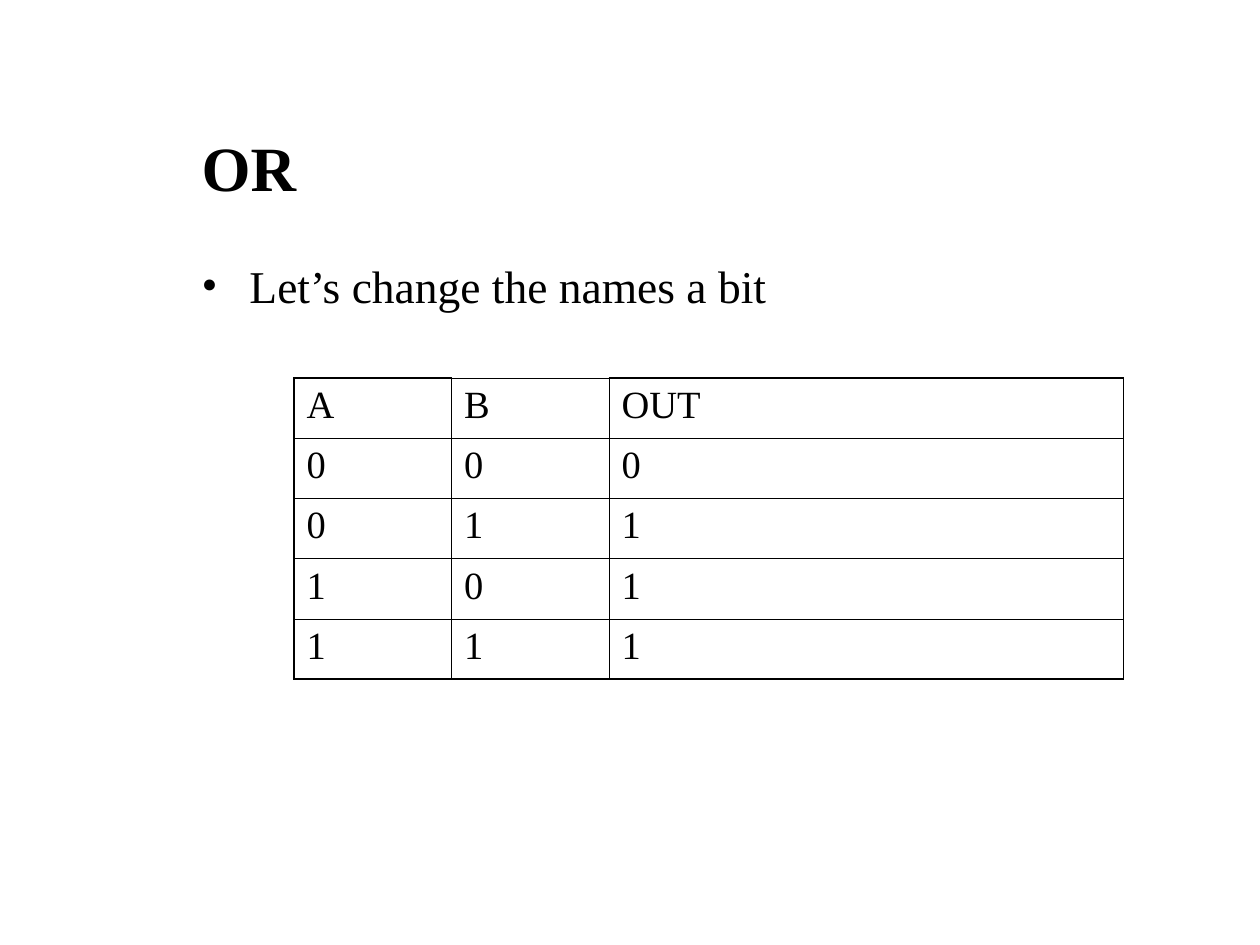
"""Build a slide with the truth table of the OR gate."""
from dataclasses import dataclass

from lxml import etree
from pptx import Presentation
from pptx.dml.color import RGBColor
from pptx.enum.text import MSO_ANCHOR, MSO_AUTO_SIZE, PP_ALIGN
from pptx.oxml.ns import qn
from pptx.util import Inches, Pt

LEFT = PP_ALIGN.LEFT
TOP, MIDDLE = MSO_ANCHOR.TOP, MSO_ANCHOR.MIDDLE
NO_AUTOFIT = MSO_AUTO_SIZE.NONE

FONT = "Times New Roman"
INK = "000000"
WIDTH, HEIGHT = Inches(10), Inches(7.5)
GRID_COLUMNS, GRID_ROWS = 120, 90
THIN, THICK = Pt(0.45), Pt(1.08)

TRUTH_TABLE = [("A", "B", "OUT")] + [
    (str(a), str(b), str(a | b)) for a in (0, 1) for b in (0, 1)
]
COLUMN_SPANS = (15, 15, 49)
ROW_SPAN = 5.74


@dataclass(frozen=True)
class Area:
    column: float
    row: float
    columns: float
    rows: float


@dataclass(frozen=True)
class TextStyle:
    size: float
    bold: bool = False
    anchor: MSO_ANCHOR = TOP


TITLE_AREA = Area(18, 10, 96, 11.64)
BODY_AREA = Area(18, 24, 96, 49)
TABLE_AREA = Area(28, 36, sum(COLUMN_SPANS), ROW_SPAN * len(TRUTH_TABLE))
TITLE_STYLE = TextStyle(36, True, MIDDLE)
BODY_STYLE = TextStyle(26)
CELL_STYLE = TextStyle(22)


def across(columns: float) -> int:
    return round(WIDTH * columns / GRID_COLUMNS)


def down(rows: float) -> int:
    return round(HEIGHT * rows / GRID_ROWS)


def bounds(area: Area) -> tuple[int, int, int, int]:
    return across(area.column), down(area.row), across(area.columns), down(area.rows)


def rgb(value: str) -> RGBColor:
    return RGBColor.from_string(value)


def write(frame, text: str, style: TextStyle) -> None:
    frame.text = text
    paragraph = frame.paragraphs[0]
    paragraph.alignment = LEFT
    paragraph.space_before = Pt(0)
    for run in paragraph.runs:
        run.font.name = FONT
        run.font.size = Pt(style.size)
        run.font.bold = style.bold
        run.font.color.rgb = rgb(INK)


def fill_placeholder(placeholder, area: Area, text: str, style: TextStyle) -> None:
    placeholder.left, placeholder.top, placeholder.width, placeholder.height = bounds(area)
    frame = placeholder.text_frame
    write(frame, text, style)
    frame.word_wrap = True
    frame.auto_size = NO_AUTOFIT
    frame.vertical_anchor = style.anchor


def add_bullet(paragraph) -> None:
    properties = paragraph._p.get_or_add_pPr()
    properties.set("marL", str(Inches(0.38)))
    properties.set("indent", str(Inches(-0.38)))
    colour = etree.SubElement(properties, qn("a:buClr"))
    etree.SubElement(colour, qn("a:srgbClr"), val=INK)
    etree.SubElement(properties, qn("a:buFont"), typeface=FONT)
    etree.SubElement(properties, qn("a:buChar"), char="•")


def draw_borders(cell, widths: dict[str, int]) -> None:
    properties = cell._tc.get_or_add_tcPr()
    for position, (side, width) in enumerate(widths.items()):
        line = etree.Element(qn(f"a:{side}"), w=str(width))
        fill = etree.SubElement(line, qn("a:solidFill"))
        etree.SubElement(fill, qn("a:srgbClr"), val=INK)
        properties.insert(position, line)


def add_truth_table(slide) -> None:
    row_count, column_count = len(TRUTH_TABLE), len(COLUMN_SPANS)
    table = slide.shapes.add_table(row_count, column_count, *bounds(TABLE_AREA)).table
    table.first_row = table.horz_banding = False
    for column, span in zip(table.columns, COLUMN_SPANS):
        column.width = across(span)
    for r, values in enumerate(TRUTH_TABLE):
        table.rows[r].height = down(ROW_SPAN)
        for c, value in enumerate(values):
            cell = table.cell(r, c)
            cell.fill.background()
            cell.vertical_anchor = CELL_STYLE.anchor
            write(cell.text_frame, value, CELL_STYLE)
            thick_sides = {
                "lnL": c == 0,
                "lnR": c == column_count - 1,
                "lnT": r == 0 and c != 1,
                "lnB": r == row_count - 1,
            }
            draw_borders(cell, {s: THICK if t else THIN for s, t in thick_sides.items()})


def main() -> None:
    presentation = Presentation()
    presentation.slide_width, presentation.slide_height = WIDTH, HEIGHT
    slide = presentation.slides.add_slide(presentation.slide_layouts[1])
    body = slide.placeholders[1]
    fill_placeholder(slide.shapes.title, TITLE_AREA, "OR", TITLE_STYLE)
    fill_placeholder(body, BODY_AREA, "Let’s change the names a bit", BODY_STYLE)
    add_bullet(body.text_frame.paragraphs[0])
    add_truth_table(slide)
    presentation.save("out.pptx")


if __name__ == "__main__":
    main()
